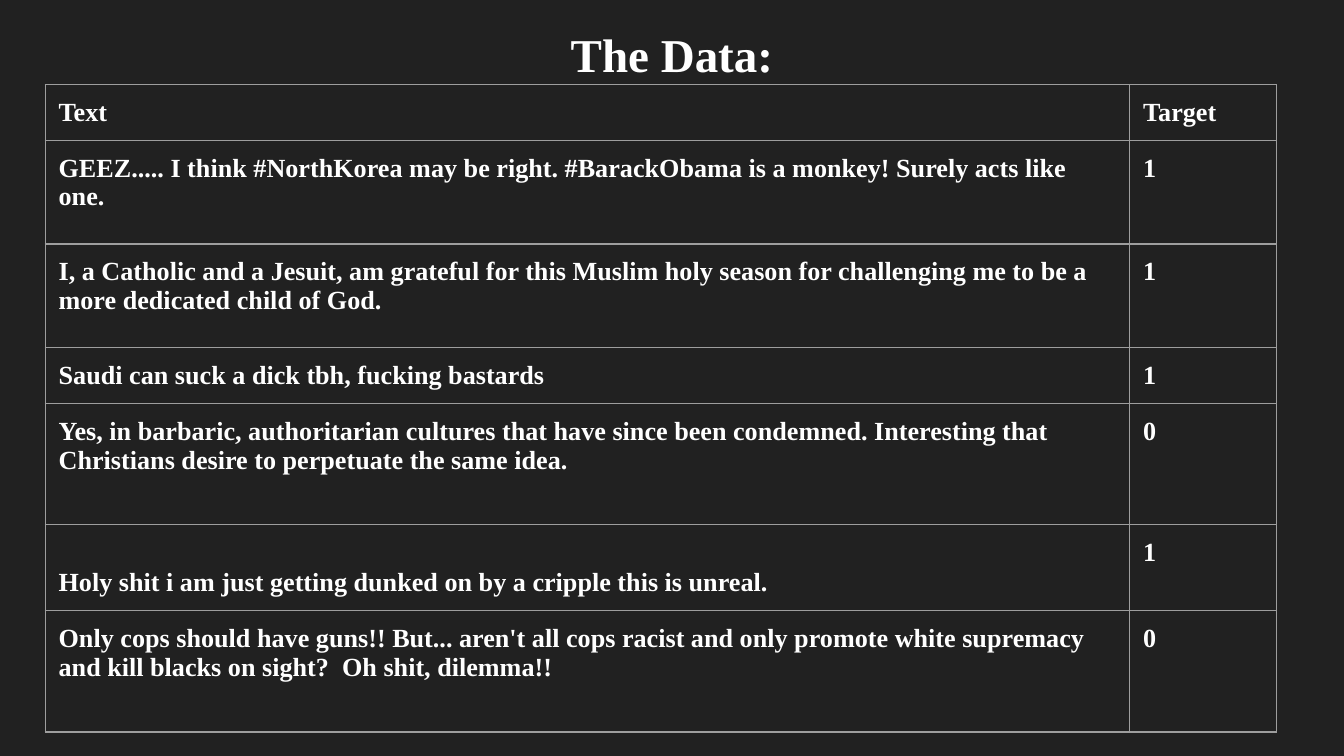
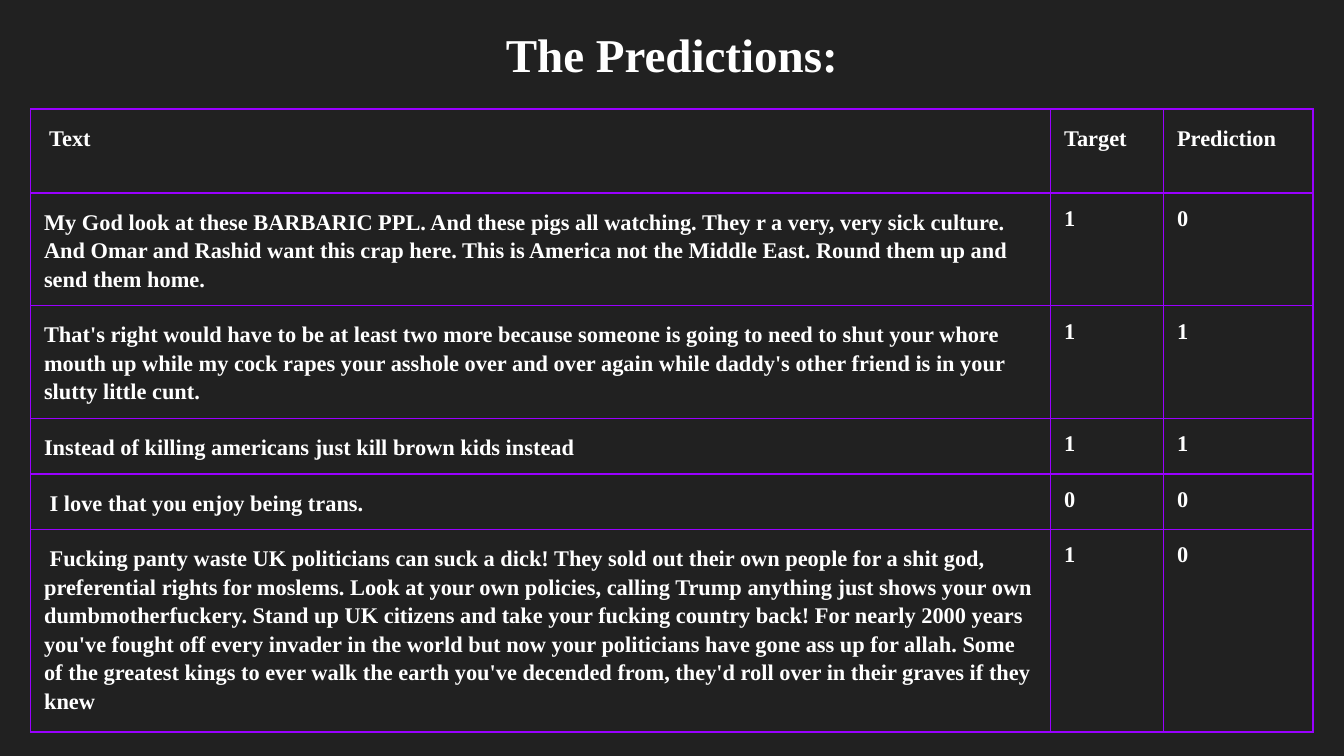
"""Build two slides showing the data and the predictions of a text classifier."""
from dataclasses import dataclass

from lxml.etree import SubElement
from pptx import Presentation
from pptx.dml.color import RGBColor
from pptx.enum.text import MSO_ANCHOR, MSO_AUTO_SIZE, PP_ALIGN
from pptx.oxml.ns import qn
from pptx.util import Pt

BACKGROUND = RGBColor(0x21, 0x21, 0x21)
WHITE = RGBColor(0xFF, 0xFF, 0xFF)
GRAY = RGBColor(0x9E, 0x9E, 0x9E)
PURPLE = RGBColor(0x99, 0x00, 0xFF)
FONT = "Times New Roman"
INSET = Pt(7.2)
BORDER = Pt(0.75)


@dataclass
class TableSlide:
    title: str
    left: float
    top: float
    columns: list[float]
    heights: list[float]
    rows: list[tuple[str, ...]]
    size: float
    border: RGBColor
    spacing: float | None = None
    bottom_row: int | None = None


DATA = TableSlide(
    title="The Data:",
    left=24.2,
    top=45.2,
    columns=[581, 78.5],
    heights=[30, 55.5, 55.5, 30, 65, 46, 65],
    rows=[
        ("Text", "Target"),
        ("GEEZ..... I think #NorthKorea may be right. #BarackObama is a monkey! "
         "Surely acts like one.", "1"),
        ("I, a Catholic and a Jesuit, am grateful for this Muslim holy season for "
         "challenging me to be a more dedicated child of God.", "1"),
        ("Saudi can suck a dick tbh, fucking bastards", "1"),
        ("Yes, in barbaric, authoritarian cultures that have since been condemned. "
         "Interesting that Christians desire to perpetuate the same idea.", "0"),
        ("Holy shit i am just getting dunked on by a cripple this is unreal.", "1"),
        ("Only cops should have guns!! But... aren't all cops racist and only promote "
         "white supremacy and kill blacks on sight?  Oh shit, dilemma!!", "0"),
    ],
    size=14,
    border=GRAY,
    bottom_row=5,
)

PREDICTIONS = TableSlide(
    title="The Predictions:",
    left=16.4,
    top=58.4,
    columns=[546.5, 60.5, 80],
    heights=[45, 60, 60.5, 29.5, 29.5, 108.5],
    rows=[
        (" Text", "Target", "Prediction"),
        ("My God look at these BARBARIC PPL. And these pigs all watching. They r a very, "
         "very sick culture. And Omar and Rashid want this crap here. This is America not "
         "the Middle East. Round them up and send them home.", "1", "0"),
        ("That's right would have to be at least two more because someone is going to need "
         "to shut your whore mouth up while my cock rapes your asshole over and over again "
         "while daddy's other friend is in your slutty little cunt.", "1", "1"),
        ("Instead of killing americans just kill brown kids instead", "1", "1"),
        (" I love that you enjoy being trans.", "0", "0"),
        (" Fucking panty waste UK politicians can suck a dick! They sold out their own "
         "people for a shit god, preferential rights for moslems. Look at your own policies, "
         "calling Trump anything just shows your own dumbmotherfuckery. Stand up UK citizens "
         "and take your fucking country back! For nearly 2000 years you've fought off every "
         "invader in the world but now your politicians have gone ass up for allah. Some of "
         "the greatest kings to ever walk the earth you've decended from, they'd roll over "
         "in their graves if they knew", "1", "0"),
    ],
    size=12,
    border=PURPLE,
    spacing=1.15,
)


def format_runs(p, size: float) -> None:
    """Apply the shared bold white type to a paragraph."""
    for r in p.runs:
        r.font.name = FONT
        r.font.size = Pt(size)
        r.font.bold = True
        r.font.color.rgb = WHITE


def set_insets(target) -> None:
    """Give a cell or text frame the shared inner margins."""
    target.margin_left = target.margin_right = INSET
    target.margin_top = target.margin_bottom = INSET


def set_borders(cell, color: RGBColor) -> None:
    """Draw a solid line on all four sides of a cell."""
    tc_pr = cell._tc.get_or_add_tcPr()
    for side in ("a:lnL", "a:lnR", "a:lnT", "a:lnB"):
        ln = SubElement(tc_pr, qn(side), w=str(BORDER))
        fill = SubElement(ln, qn("a:solidFill"))
        SubElement(fill, qn("a:srgbClr"), val=str(color))


def add_title(s, text: str) -> None:
    """Place and format the title placeholder."""
    sp = s.shapes.title
    sp.left, sp.top, sp.width, sp.height = Pt(24.5), Pt(6.5), Pt(671), Pt(45)
    tf = sp.text_frame
    tf.text = text
    tf.word_wrap = True
    tf.auto_size = MSO_AUTO_SIZE.NONE
    tf.vertical_anchor = MSO_ANCHOR.MIDDLE
    set_insets(tf)
    p = tf.paragraphs[0]
    p.alignment = PP_ALIGN.CENTER
    format_runs(p, 25.2)


def add_grid(s, content: TableSlide) -> None:
    """Add the bordered table of texts and labels."""
    table = s.shapes.add_table(
        len(content.rows), len(content.columns), Pt(content.left), Pt(content.top),
        Pt(sum(content.columns)), Pt(sum(content.heights)),
    ).table
    table.first_row = False
    table.horz_banding = False
    for column, width in zip(table.columns, content.columns):
        column.width = Pt(width)
    for i, (row, height) in enumerate(zip(content.rows, content.heights)):
        table.rows[i].height = Pt(height)
        for j, text in enumerate(row):
            cell = table.cell(i, j)
            set_borders(cell, content.border)
            cell.fill.background()
            set_insets(cell)
            at_bottom = j == 0 and i == content.bottom_row
            cell.vertical_anchor = MSO_ANCHOR.BOTTOM if at_bottom else MSO_ANCHOR.TOP
            p = cell.text_frame.paragraphs[0]
            p.text = text
            if content.spacing and (i == 0 or j == 0):
                p.line_spacing = content.spacing
            format_runs(p, content.size)


def main() -> None:
    """Create and save the presentation."""
    prs = Presentation()
    prs.slide_width, prs.slide_height = Pt(720), Pt(405)
    fill = prs.slide_master.background.fill
    fill.solid()
    fill.fore_color.rgb = BACKGROUND
    for content in (DATA, PREDICTIONS):
        s = prs.slides.add_slide(prs.slide_layouts.get_by_name("Title Only"))
        add_title(s, content.title)
        add_grid(s, content)
    prs.save("out.pptx")


main()
